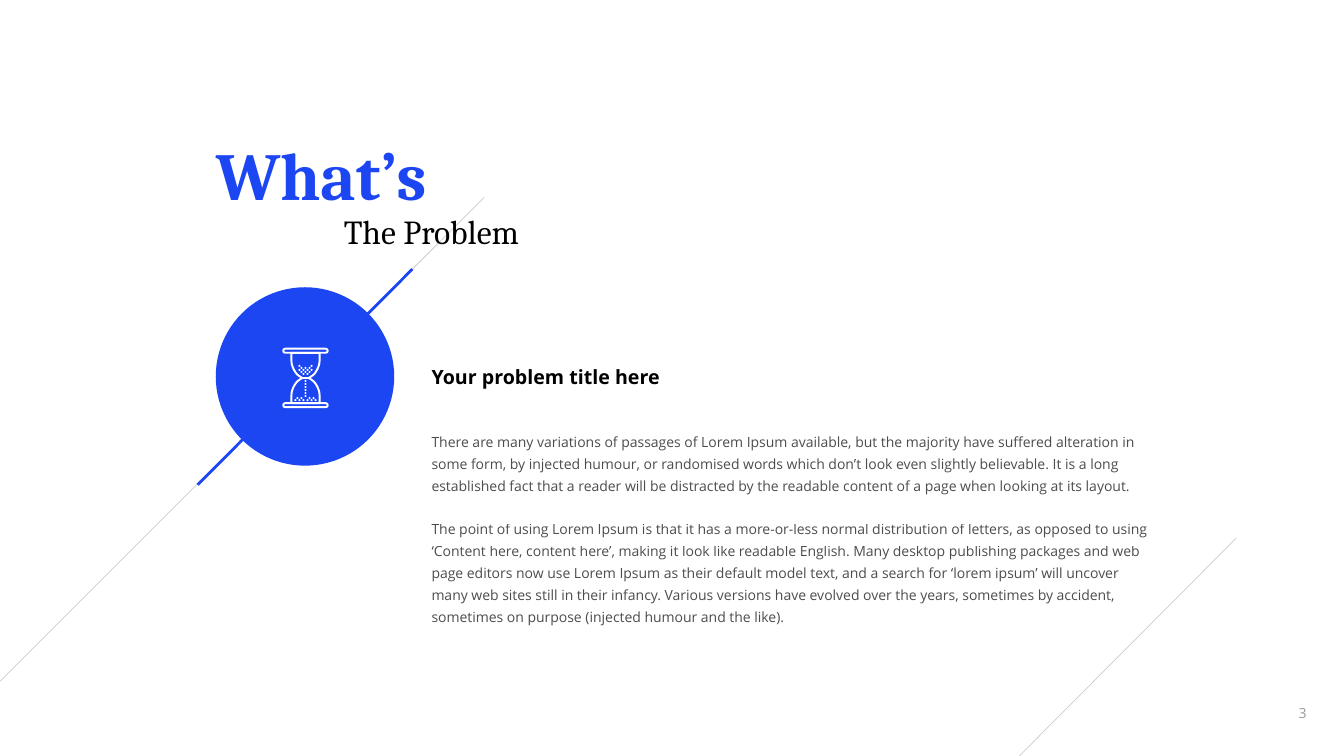
from math import cos, pi, sin
from lxml.etree import SubElement
from pptx import Presentation
from pptx.dml.color import RGBColor
from pptx.enum.shapes import MSO_CONNECTOR, MSO_SHAPE
from pptx.enum.text import MSO_ANCHOR, MSO_AUTO_SIZE, PP_ALIGN
from pptx.oxml.ns import qn
from pptx.util import Inches, Pt

BLUE, BLACK, WHITE = "1D46F3", "000000", "FFFFFF"
SERIF, SANS = "Cambria", "Open Sans"

TITLE = "What’s"
SUBTITLE = "The Problem"
HEADING = "Your problem title here"
BODY = [
    "There are many variations of passages of Lorem Ipsum available, but the majority have suffered "
    "alteration in some form, by injected humour, or randomised words which don’t look even slightly "
    "believable. It is a long established fact that a reader will be distracted by the readable content "
    "of a page when looking at its layout.",
    "The point of using Lorem Ipsum is that it has a more-or-less normal distribution of letters, as "
    "opposed to using ‘Content here, content here’, making it look like readable English. Many desktop "
    "publishing packages and web page editors now use Lorem Ipsum as their default model text, and a "
    "search for ‘lorem ipsum’ will uncover many web sites still in their infancy. Various versions have "
    "evolved over the years, sometimes by accident, sometimes on purpose (injected humour and the like).",
]
PAGE_NUMBER = "3"

LONG_DIAGONAL = (0, 6.76, 4.8, 1.96)
BLUE_DIAGONAL = (1.96, 4.81, 4.09, 2.67)
CORNER_DIAGONAL = (10.11, 7.5, 12.26, 5.34)

CENTER_X, NECK_Y = 3.03, 3.75
CAP_WIDTH, CAP_HEIGHT, CAP_OFFSET = 0.44, 0.04, 0.27
GLASS_LINE = 1.4
BULB_CURVE = [(-0.14, -0.18), (-0.14, -0.11), (-0.1, -0.03), (-0.03, 0)]
SAND_ROWS = [(3.63, [-0.06, 0.06]), (3.65, [-0.04, 0, 0.04]),
             (3.67, [-0.06, -0.02, 0.02, 0.06]), (3.69, [-0.04, 0, 0.04]),
             (3.71, [-0.02, 0.02]),
             *[(3.78 + 0.03 * step, [0]) for step in range(6)],
             (3.95, [-0.08, -0.04, 0.04, 0.08]),
             (3.97, [-0.1, -0.06, -0.02, 0.02, 0.06, 0.1])]
GRAIN_RADIUS = 0.01
UNITS = 1000

presentation = Presentation()
presentation.slide_width, presentation.slide_height = Inches(13.33), Inches(7.5)
slide = presentation.slides.add_slide(presentation.slide_layouts[1])
shapes = slide.shapes


def paint(fill, color, element, opacity=100):
    fill.solid()
    fill.fore_color.rgb = RGBColor.from_string(color)
    if opacity < 100:
        for node in element.iter(qn("a:srgbClr")):
            SubElement(node, qn("a:alpha"), val=str(opacity * 1000))


def write(text, box, shape=None, size=10, font=SANS, color=BLACK, bold=False, opacity=100,
          align=PP_ALIGN.LEFT, anchor=MSO_ANCHOR.TOP, margin=0.05, wrap=False, spacing=1.0, gap=0):
    left, top, width, height = map(Inches, box)
    shape = shape or shapes.add_textbox(left, top, width, height)
    shape.left, shape.top, shape.width, shape.height = left, top, width, height
    frame = shape.text_frame
    frame.word_wrap, frame.auto_size, frame.vertical_anchor = wrap, MSO_AUTO_SIZE.NONE, anchor
    frame.margin_left = frame.margin_right = 0
    frame.margin_top = frame.margin_bottom = Inches(margin)
    for index, line in enumerate([text] if isinstance(text, str) else text):
        paragraph = frame.add_paragraph() if index else frame.paragraphs[0]
        paragraph.alignment, paragraph.line_spacing = align, spacing
        paragraph.space_before, paragraph.space_after = Pt(gap if index else 0), Pt(0)
        if shape.is_placeholder:
            properties = paragraph._p.get_or_add_pPr()
            properties.set("marL", "0")
            properties.set("indent", "0")
            SubElement(properties, qn("a:buNone"))
        run = paragraph.add_run()
        run.text = line
        run.font.name, run.font.size, run.font.bold = font, Pt(size), bold
        paint(run.font.fill, color, run._r, opacity)


def draw_line(ends, color, width, opacity=100):
    connector = shapes.add_connector(MSO_CONNECTOR.STRAIGHT, *map(Inches, ends))
    connector.line.width = Pt(width)
    paint(connector.line.fill, color, connector._element, opacity)
    SubElement(connector._element.spPr, qn("a:effectLst"))


def style(shape, fill=None, line=None):
    shape.shadow.inherit = False
    if fill:
        paint(shape.fill, fill, shape._element)
    else:
        shape.fill.background()
    if line:
        shape.line.width = Pt(GLASS_LINE)
        paint(shape.line.fill, line, shape._element)
    else:
        shape.line.fill.background()


def draw_outlines(outlines, **colors):
    scaled = [[(x * UNITS, y * UNITS) for x, y in outline] for outline in outlines]
    builder = shapes.build_freeform(*scaled[0][0], scale=Inches(1) / UNITS)
    for index, outline in enumerate(scaled):
        if index:
            builder.move_to(*outline[0])
        builder.add_line_segments(outline[1:], close=True)
    style(builder.convert_to_shape(), **colors)


def bezier(points, step):
    weights = [(1 - step) ** 3, 3 * step * (1 - step) ** 2, 3 * step ** 2 * (1 - step), step ** 3]
    return tuple(sum(weight * point[axis] for weight, point in zip(weights, points)) for axis in (0, 1))


def draw_hourglass():
    curve = [(-0.14, -0.25)] + [bezier(BULB_CURVE, step / 12) for step in range(13)]
    bulb = curve + [(-x, y) for x, y in reversed(curve)]
    for side in (1, -1):
        cap = shapes.add_shape(
            MSO_SHAPE.ROUNDED_RECTANGLE, Inches(CENTER_X - CAP_WIDTH / 2),
            Inches(NECK_Y - side * CAP_OFFSET - CAP_HEIGHT / 2), Inches(CAP_WIDTH), Inches(CAP_HEIGHT))
        cap.adjustments[0] = 0.5
        style(cap, line=WHITE)
        draw_outlines([[(CENTER_X + x, NECK_Y + side * y) for x, y in bulb]], line=WHITE)
    angles = [step * pi / 4 for step in range(8)]
    grains = [[(CENTER_X + offset + GRAIN_RADIUS * cos(angle), y + GRAIN_RADIUS * sin(angle))
               for angle in angles] for y, offsets in SAND_ROWS for offset in offsets]
    draw_outlines(grains, fill=WHITE)


write(PAGE_NUMBER, (12.64, 6.95, 0.56, 0.25), opacity=40, align=PP_ALIGN.CENTER,
      anchor=MSO_ANCHOR.MIDDLE, margin=0, wrap=True)
draw_line(LONG_DIAGONAL, BLACK, 0.5, opacity=20)
circle = shapes.add_shape(MSO_SHAPE.OVAL, *map(Inches, (2.14, 2.85, 1.77, 1.77)))
style(circle, fill=BLUE)
draw_line(BLUE_DIAGONAL, BLUE, 2)
write(TITLE, (2.14, 1.27, 2.13, 0.91), shape=shapes.title, size=48, font=SERIF, color=BLUE, bold=True)
write(SUBTITLE, (3.41, 2.12, 1.95, 0.42), size=24, font=SERIF, spacing=0.8)
write(HEADING, (4.28, 3.57, 2.28, 0.34), size=14, bold=True)
write(BODY, (4.28, 4.2, 7.18, 2.07), shape=slide.placeholders[1], opacity=70, wrap=True,
      spacing=1.3, gap=15.6)
draw_line(CORNER_DIAGONAL, BLACK, 0.5, opacity=20)
draw_hourglass()
presentation.save("out.pptx")
